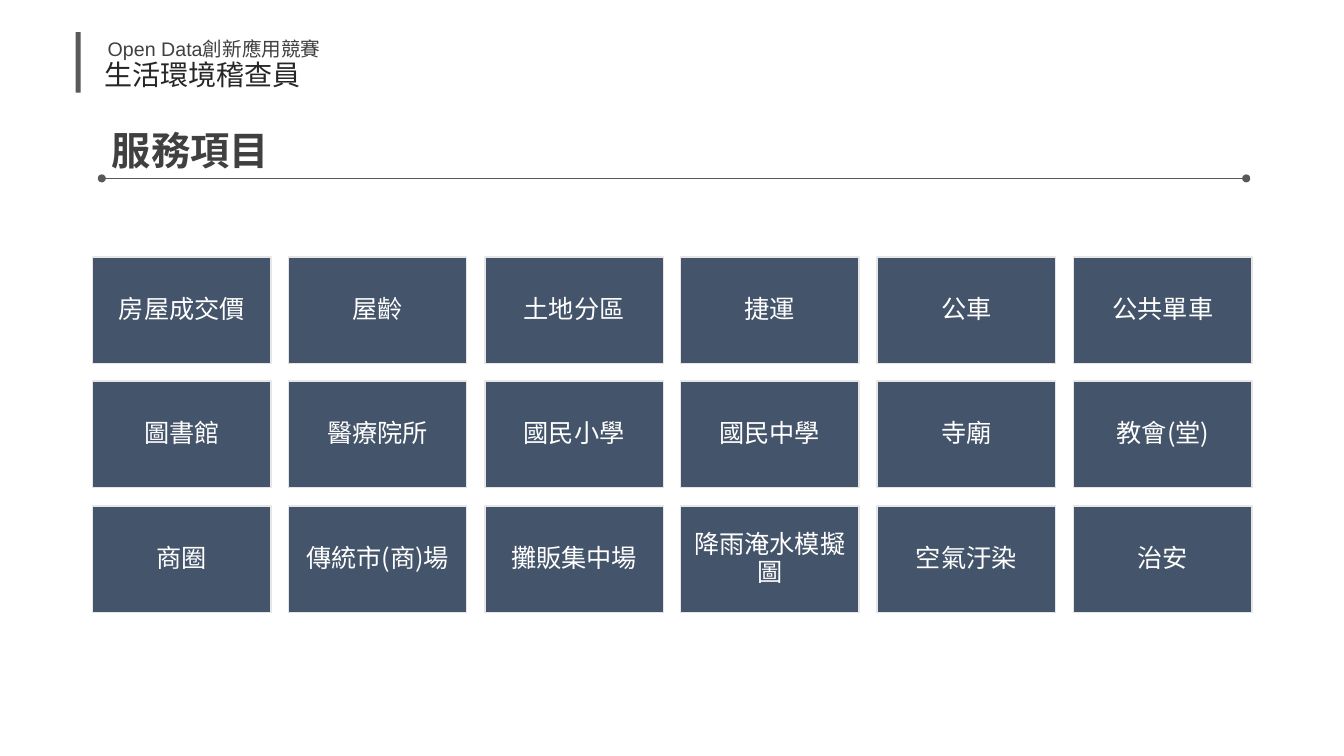
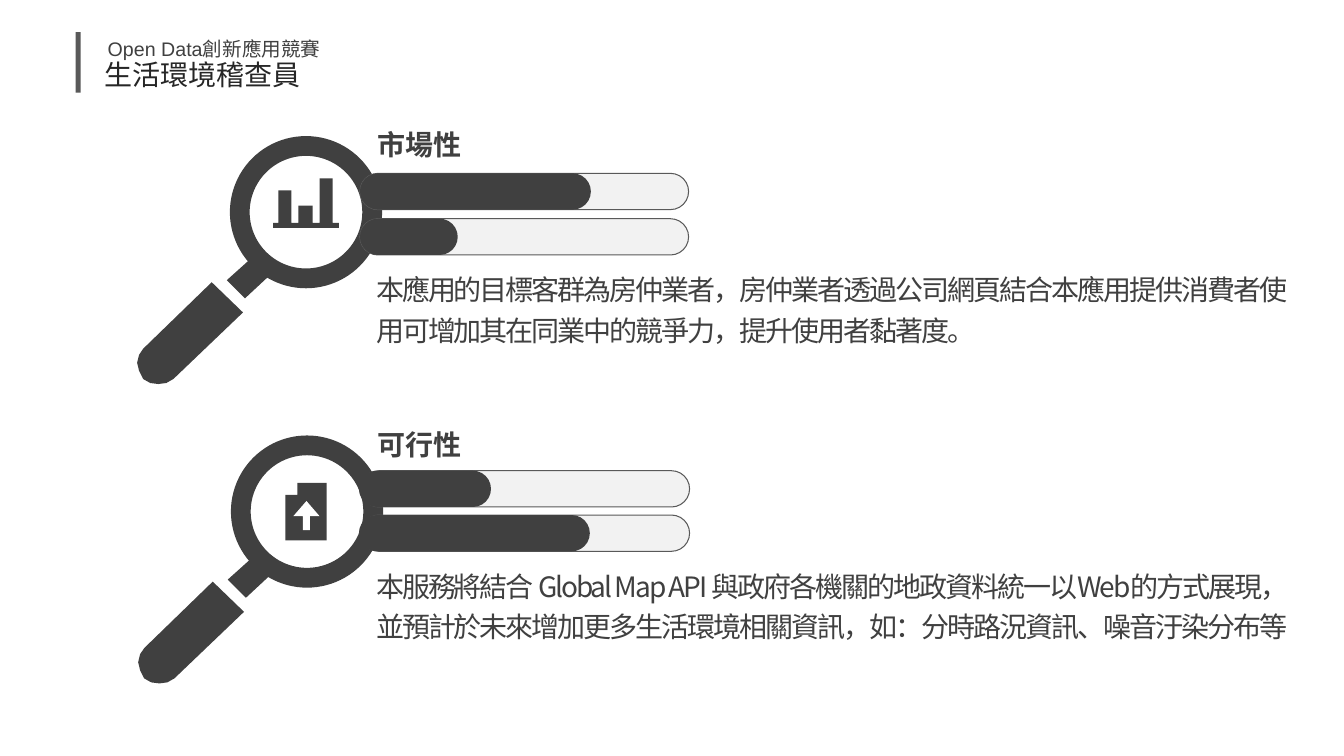
"""Build two slides: the service items, and the market and feasibility notes."""
from lxml import etree
from pptx import Presentation
from pptx.dml.color import RGBColor
from pptx.enum.shapes import MSO_CONNECTOR, MSO_SHAPE
from pptx.enum.text import MSO_ANCHOR, MSO_AUTO_SIZE, PP_ALIGN
from pptx.oxml.ns import qn
from pptx.util import Pt

PX = 9144
COLORS = {
    "dark": "404040",
    "ink": "262626",
    "rule": "595959",
    "tile": "44546A",
    "tile_edge": "E7E6E6",
    "track": "F2F2F2",
    "white": "FFFFFF",
}
SANS, CJK = "Arial", "Noto Sans CJK SC"
RECT, ELLIPSE, DONUT = MSO_SHAPE.RECTANGLE, MSO_SHAPE.OVAL, MSO_SHAPE.DONUT
PILL, UP_ARROW = MSO_SHAPE.ROUNDED_RECTANGLE, MSO_SHAPE.UP_ARROW
STRAIGHT = MSO_CONNECTOR.STRAIGHT
LEFT, CENTER = PP_ALIGN.LEFT, PP_ALIGN.CENTER
TOP, MIDDLE = MSO_ANCHOR.TOP, MSO_ANCHOR.MIDDLE
NO_AUTOFIT = MSO_AUTO_SIZE.NONE


def paint(shape, fill, line=None, weight=1):
    shape.shadow.inherit = False
    shape.fill.solid()
    shape.fill.fore_color.rgb = RGBColor.from_string(COLORS[fill])
    if line:
        shape.line.color.rgb = RGBColor.from_string(COLORS[line])
        shape.line.width = Pt(weight)
    else:
        shape.line.fill.background()


def write_text(box, text, place=None, size=20, color="dark", font=CJK, bold=False,
               align=LEFT, anchor=TOP, margins=(10, 5), spacing=1.0, tracking=None, wrap=True):
    if place:
        box.left, box.top, box.width, box.height = [value * PX for value in place]
    frame = box.text_frame
    frame.auto_size = NO_AUTOFIT
    frame.word_wrap = wrap
    frame.vertical_anchor = anchor
    frame.margin_left = frame.margin_right = margins[0] * PX
    frame.margin_top = frame.margin_bottom = margins[1] * PX
    para = frame.paragraphs[0]
    para.alignment = align
    para.line_spacing = spacing
    span = para.add_run()
    span.text = text
    span.font.size = Pt(size)
    span.font.bold = bold
    span.font.name = font
    span.font.color.rgb = RGBColor.from_string(COLORS[color])
    properties = span.font._element
    etree.SubElement(properties, qn("a:ea")).set("typeface", CJK)
    if tracking:
        properties.set("spc", str(int(tracking * 100)))


deck = Presentation()
deck.slide_width, deck.slide_height = 1333 * PX, 750 * PX
services = deck.slides.add_slide(deck.slide_layouts[5])
outlook = deck.slides.add_slide(deck.slide_layouts[6])

for page in (services, outlook):
    write_text(page.shapes.add_textbox(0, 0, 0, 0), "Open Data創新應用競賽",
               place=(97, 25, 290, 41), size=14, font=SANS, spacing=1.3)
    write_text(page.shapes.add_textbox(0, 0, 0, 0), "生活環境稽查員",
               place=(80, 52, 242, 44), color="ink", align=CENTER)
    paint(page.shapes.add_shape(RECT, 75 * PX, 32 * PX, 5 * PX, 60 * PX), "rule")

write_text(services.shapes.title, "服務項目", place=(101, 120, 334, 57), size=28, bold=True)
rule = services.shapes.add_connector(STRAIGHT, 105 * PX, 177 * PX, 1234 * PX, 177 * PX)
rule.line.color.rgb = RGBColor.from_string(COLORS["rule"])
rule.line.width = Pt(0.5)
etree.SubElement(rule._element.spPr, qn("a:effectLst"))
for left in (97, 1232):
    paint(services.shapes.add_shape(ELLIPSE, left * PX, 173 * PX, 8 * PX, 8 * PX), "rule")

service_rows = [
    ["房屋成交價", "屋齡", "土地分區", "捷運", "公車", "公共單車"],
    ["圖書館", "醫療院所", "國民小學", "國民中學", "寺廟", "教會(堂)"],
    ["商圈", "傳統市(商)場", "攤販集中場", "降雨淹水模擬圖", "空氣汙染", "治安"],
]
GRID_LEFT, GRID_TOP, GRID_WIDTH, GRID_HEIGHT = 92, 255, 1150, 353
TILE_WIDTH, TILE_HEIGHT = 177, 106
for row, names in enumerate(service_rows):
    top = GRID_TOP + row * (GRID_HEIGHT - TILE_HEIGHT) // 2
    for column, name in enumerate(names):
        left = GRID_LEFT + column * (GRID_WIDTH - TILE_WIDTH) // 5
        tile = services.shapes.add_shape(RECT, left * PX, top * PX, TILE_WIDTH * PX, TILE_HEIGHT * PX)
        paint(tile, "tile", line="tile_edge")
        write_text(tile, name, size=18, color="white", align=CENTER, anchor=MIDDLE,
                   margins=(7, 7), spacing=0.9)

neck = [(272, 269), (243, 296), (225, 278), (255, 251)]
handle = [(210, 280), (142, 346), (138, 352), (136, 360), (138, 368), (142, 376),
          (149, 380), (157, 381), (165, 380), (172, 376), (241, 310)]
chart_icon = [(330, 221), (330, 177), (317, 177), (317, 221), (310, 221), (310, 204),
              (296, 204), (296, 221), (289, 221), (289, 189), (276, 189), (276, 221),
              (271, 221), (271, 226), (336, 226), (336, 221)]
file_icon = [(294, 182), (294, 194), (282, 194), (282, 239), (323, 239), (323, 182)]
sections = [
    {"shift": (0, 0), "icon": chart_icon, "title": "市場性", "title_top": 122,
     "track_left": 357, "bar_left": 357, "bars": [(172, 229), (217, 97)], "body_top": 260,
     "body": "本應用的目標客群為房仲業者，房仲業者透過公司網頁結合本應用提供消費者使用"
             "可增加其在同業中的競爭力，提升使用者黏著度。"},
    {"shift": (1, 297), "icon": file_icon, "title": "可行性", "title_top": 420,
     "track_left": 358, "bar_left": 356, "bars": [(467, 131), (511, 229)], "body_top": 554,
     "body": "本服務將結合 Global Map API 與政府各機關的地政資料統一以Web的方式展現，"
             "並預計於未來增加更多生活環境相關資訊，如：分時路況資訊、噪音汙染分布等"},
]
for section in sections:
    right, down = section["shift"]
    ring = outlook.shapes.add_shape(DONUT, (228 + right) * PX, (135 + down) * PX, 151 * PX, 151 * PX)
    ring.adjustments[0] = 0.13
    paint(ring, "dark")
    for outline in (neck, handle, section["icon"]):
        points = [(x + right, y + down) for x, y in outline]
        builder = outlook.shapes.build_freeform(*points[0], scale=PX)
        builder.add_line_segments(points[1:])
        paint(builder.convert_to_shape(), "dark")
    for top, width in section["bars"]:
        track = outlook.shapes.add_shape(PILL, section["track_left"] * PX, top * PX, 326 * PX, 36 * PX)
        paint(track, "track", line="rule", weight=0.75)
        bar = outlook.shapes.add_shape(PILL, section["bar_left"] * PX, top * PX, width * PX, 36 * PX)
        paint(bar, "dark")
        track.adjustments[0] = bar.adjustments[0] = 0.5
    write_text(outlook.shapes.add_textbox(0, 0, 0, 0), section["title"],
               place=(367, section["title_top"], 99, 41), bold=True, margins=(7, 4), wrap=False)
    write_text(outlook.shapes.add_textbox(0, 0, 0, 0), section["body"],
               place=(366, section["body_top"], 929, 88), margins=(7, 4), spacing=1.2, tracking=-1.5)

upload_arrow = outlook.shapes.add_shape(UP_ARROW, 291 * PX, 497 * PX, 26 * PX, 29 * PX)
upload_arrow.adjustments[0] = 0.27
upload_arrow.adjustments[1] = 0.58
paint(upload_arrow, "white")

deck.save("out.pptx")
